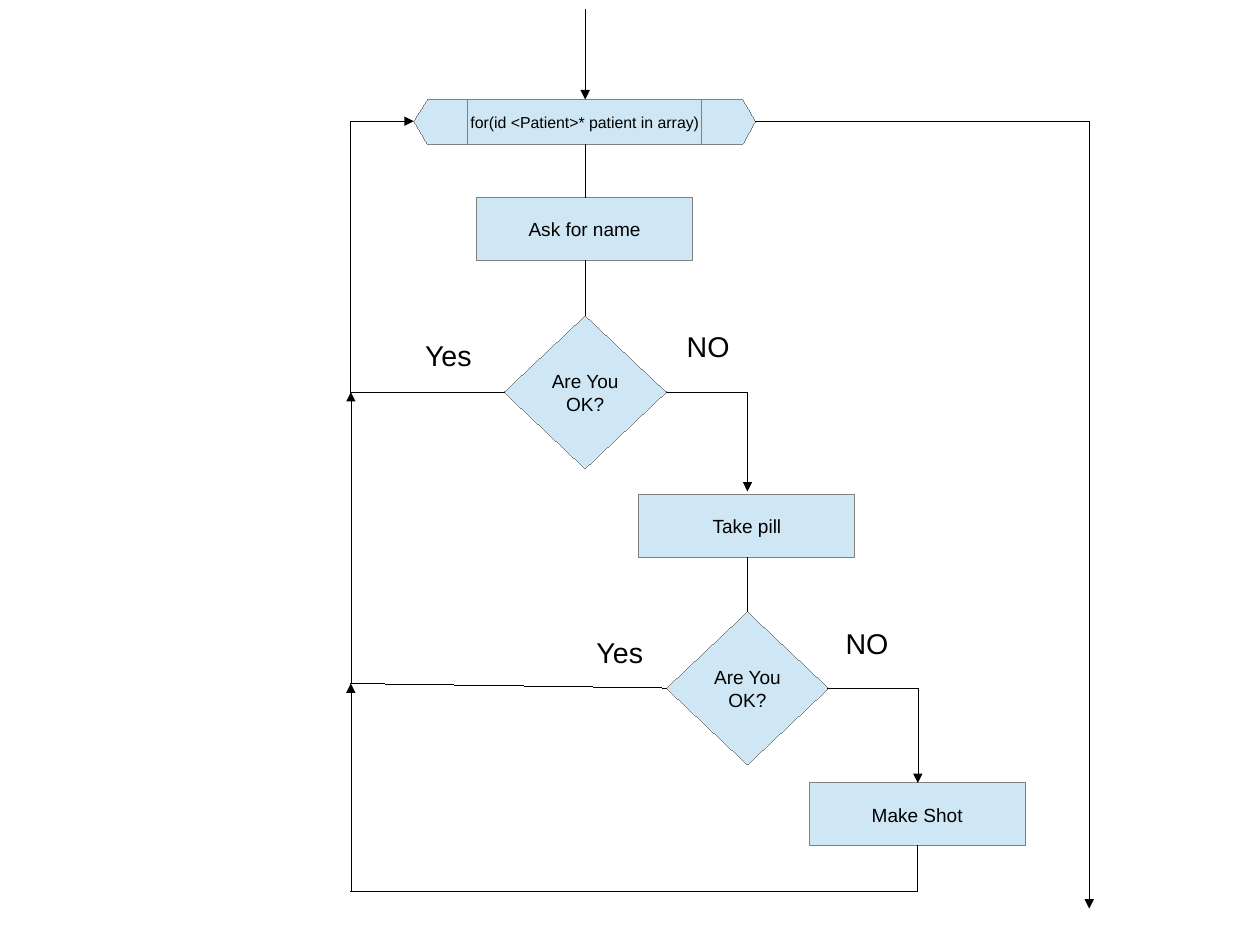
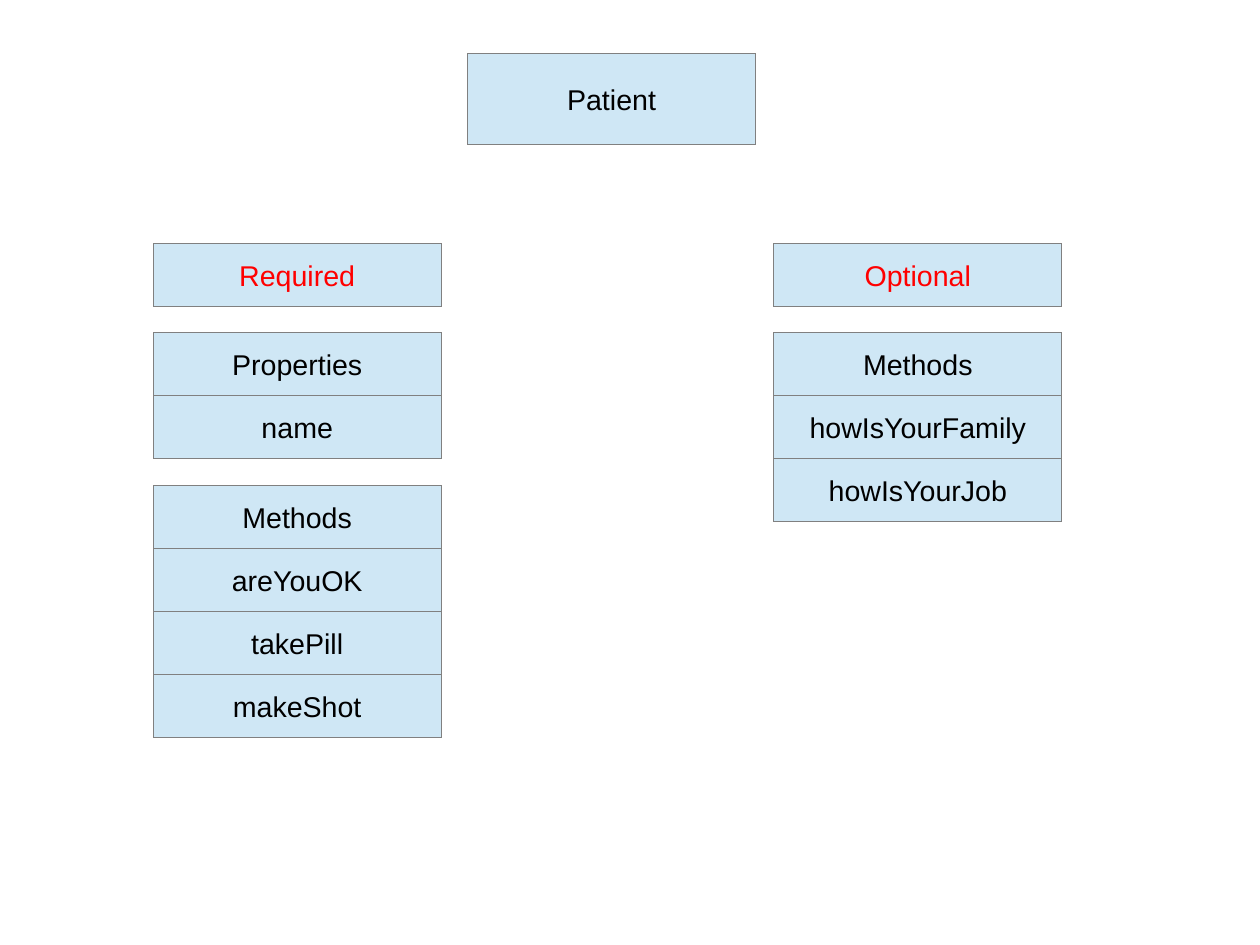
"""Build a patient flowchart and the outline of the Patient protocol."""
from lxml import etree
from pptx import Presentation
from pptx.dml.color import RGBColor
from pptx.enum import shapes, text
from pptx.oxml.ns import qn
from pptx.util import Inches, Pt

PALE_BLUE = RGBColor(0xCF, 0xE7, 0xF5)
GREY = RGBColor(0x80, 0x80, 0x80)
BLACK = RGBColor(0, 0, 0)
RED = RGBColor(0xFF, 0, 0)
RECTANGLE = shapes.MSO_SHAPE.RECTANGLE
DIAMOND = shapes.MSO_SHAPE.DIAMOND
HAIRLINE = Pt(0.01)
CM_PER_INCH = 2.54
BOX_HEIGHT = 0.55


def paint(shape):
    """Give a shape the pale fill and the grey hairline."""
    shape.shadow.inherit = False
    shape.fill.solid()
    shape.fill.fore_color.rgb = PALE_BLUE
    shape.line.color.rgb = GREY
    shape.line.width = HAIRLINE


def add_block(page, kind, place, wording, size, colour=BLACK, wrap=True):
    """Add a painted shape with centred text."""
    box = page.shapes.add_shape(kind, *map(Inches, place))
    paint(box)
    frame = box.text_frame
    frame.text = wording
    frame.word_wrap = wrap
    for para in frame.paragraphs:
        para.alignment = text.PP_ALIGN.CENTER
        for span in para.runs:
            span.font.color.rgb = colour
            for name, value in {"name": "Arial", "size": Pt(size)}.items():
                setattr(span.font, name, value)


deck = Presentation()
deck.slide_width = Inches(28 / CM_PER_INCH)
deck.slide_height = Inches(21 / CM_PER_INCH)
flow, outline = [deck.slides.add_slide(deck.slide_layouts[6]) for _ in range(2)]

ASK_X, PILL_X, SHOT_X = 5.12, 6.54, 8.03
BACK_X, EXIT_X = 3.07, 9.53
LOOP_Y, FIRST_Y, SECOND_Y, RETURN_Y = 1.06, 3.43, 6.02, 7.8
LOOP_TOP, LOOP_BOTTOM, JOIN_Y = 0.87, 1.26, 5.98

add_block(flow, RECTANGLE, (4.09, LOOP_TOP, 2.05, 0.39),
          "for(id <Patient>* patient in array)", 10, wrap=False)
for inner, shoulder, tip in [(6.14, 6.5, 6.61), (4.09, 3.74, 3.62)]:
    corners = [(inner, LOOP_TOP), (shoulder, LOOP_TOP), (tip, LOOP_Y),
               (shoulder, LOOP_BOTTOM), (inner, LOOP_BOTTOM)]
    points = [(Inches(x), Inches(y)) for x, y in corners]
    builder = flow.shapes.build_freeform(*points[0])
    builder.add_line_segments(points[1:], close=True)
    paint(builder.convert_to_shape())

for centre, top, step in [(ASK_X, 1.73, "Ask for name"), (PILL_X, 4.33, "Take pill"),
                          (SHOT_X, 6.85, "Make Shot")]:
    add_block(flow, RECTANGLE, (centre - 0.95, top, 1.89, BOX_HEIGHT), step, 12)
for centre, top in [(ASK_X, 2.76), (PILL_X, 5.35)]:
    add_block(flow, DIAMOND, (centre - 0.71, top, 1.42, 1.34), "Are You\nOK?", 12, wrap=False)

routes = [
    ([(ASK_X, 0.08), (ASK_X, LOOP_TOP)], True),
    ([(ASK_X, LOOP_BOTTOM), (ASK_X, 1.73)], False),
    ([(ASK_X, 2.28), (ASK_X, 2.76)], False),
    ([(4.41, FIRST_Y), (BACK_X, FIRST_Y), (BACK_X, LOOP_Y), (3.62, LOOP_Y)], True),
    ([(5.83, FIRST_Y), (PILL_X, FIRST_Y), (PILL_X, 3.67), (PILL_X, 4.3)], True),
    ([(PILL_X, 4.88), (PILL_X, 5.35)], False),
    ([(5.83, SECOND_Y), (BACK_X, JOIN_Y), (BACK_X, FIRST_Y)], True),
    ([(7.24, SECOND_Y), (SHOT_X, SECOND_Y), (SHOT_X, 6.85)], True),
    ([(SHOT_X, 7.4), (SHOT_X, RETURN_Y), (BACK_X, RETURN_Y), (BACK_X, JOIN_Y)], True),
    ([(6.61, LOOP_Y), (EXIT_X, LOOP_Y), (EXIT_X, 7.72), (EXIT_X, 7.95)], True),
]
for stops, has_arrow in routes:
    for start, end in zip(stops, stops[1:]):
        line = flow.shapes.add_connector(
            shapes.MSO_CONNECTOR.STRAIGHT, *map(Inches, start + end))
        line.line.color.rgb = BLACK
        line.line.width = HAIRLINE
        properties = line.element.spPr
        if has_arrow and end == stops[-1]:
            etree.SubElement(properties.find(qn("a:ln")), qn("a:tailEnd"), type="triangle")
        etree.SubElement(properties, qn("a:effectLst"))

for left, top, width, answer in [(3.62, 2.91, 0.61, "Yes"), (5.12, 5.51, 0.61, "Yes"),
                                 (5.91, 2.83, 0.58, "NO"), (7.3, 5.43, 0.58, "NO")]:
    label = flow.shapes.add_textbox(*map(Inches, (left, top, width, 0.38)))
    label.text_frame.word_wrap = False
    label.text_frame.auto_size = text.MSO_AUTO_SIZE.SHAPE_TO_FIT_TEXT
    answer_span = label.text_frame.paragraphs[0].add_run()
    answer_span.text = answer
    answer_span.font.color.rgb = BLACK
    for name, value in {"name": "Arial", "size": Pt(18)}.items():
        setattr(answer_span.font, name, value)

COLUMN_WIDTH = 2.52
add_block(outline, RECTANGLE, (4.09, 0.47, COLUMN_WIDTH, 0.79), "Patient", 18)
columns = [
    (1.34, [(2.13, ["Required"]), (2.91, ["Properties", "name"]),
            (4.25, ["Methods", "areYouOK", "takePill", "makeShot"])]),
    (6.77, [(2.13, ["Optional"]),
            (2.91, ["Methods", "howIsYourFamily", "howIsYourJob"])]),
]
for left, groups in columns:
    for top, members in groups:
        colour = RED if len(members) == 1 else BLACK
        for row, member in enumerate(members):
            place = (left, top + row * BOX_HEIGHT, COLUMN_WIDTH, BOX_HEIGHT)
            add_block(outline, RECTANGLE, place, member, 18, colour)

deck.save("out.pptx")
